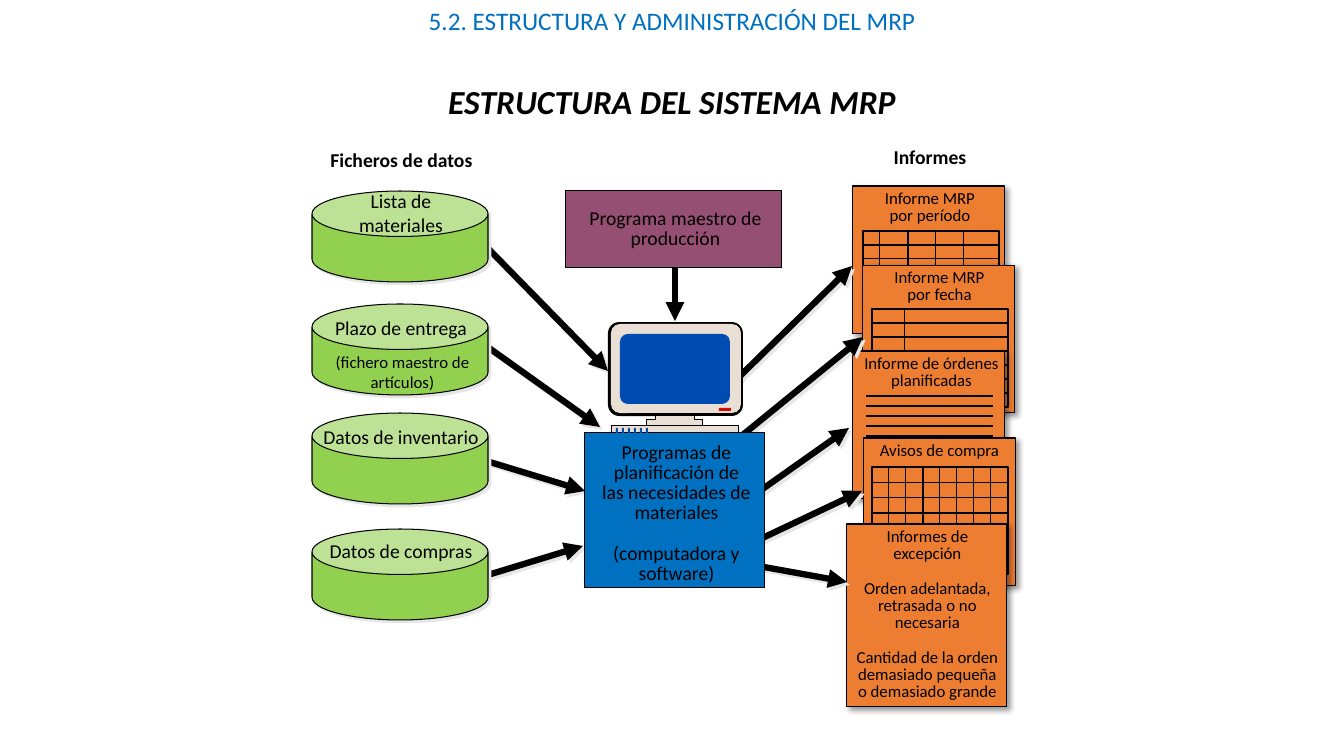
from pptx import Presentation
from pptx.dml.color import RGBColor
from pptx.enum.shapes import MSO_CONNECTOR, MSO_SHAPE
from pptx.enum.text import MSO_ANCHOR, MSO_AUTO_SIZE, PP_ALIGN
from pptx.oxml import parse_xml
from pptx.oxml.ns import nsdecls
from pptx.util import Pt

PX = 914400 / 100.8
FONT = "Calibri"
COLORS = {
    "black": "000000", "heading": "0070C0", "report": "ED7D31", "file": "92D050",
    "master": "954F72", "programs": "0070C0", "casing": "EADFD4", "screen": "004CB3",
    "light": "D90C0C", "pale": "E7E6E6",
}

HEADING = "5.2. ESTRUCTURA Y ADMINISTRACIÓN DEL MRP"
TITLE = "ESTRUCTURA DEL SISTEMA MRP"
COLUMN_LABELS = [("Informes", (883, 140, 94, 34)), ("Ficheros de datos", (320, 143, 163, 34))]

# Sheet box, caption box, caption paragraphs
REPORTS = [
    ((853, 186, 152, 148), (865, 186, 130, 44), ["Informe MRP por período"]),
    ((863, 265, 152, 148), (883, 265, 113, 44), ["Informe MRP por fecha"]),
    ((853, 351, 152, 148), (852, 351, 159, 44), ["Informe de órdenes planificadas"]),
    ((864, 438, 152, 148), (864, 438, 151, 27), ["Avisos de compra"]),
    ((847, 524, 160, 183), (844, 524, 167, 183), [
        "Informes de excepción",
        "Orden adelantada, retrasada o no necesaria",
        "Cantidad de la orden demasiado pequeña o demasiado grande"]),
]
# Report index: frame box, offsets of the column rules
REPORT_GRIDS = {
    0: ((863, 231, 136, 97), (17, 45, 73, 101)),
    1: ((872, 309, 136, 98), (33,)),
    3: ((872, 467, 136, 107), range(17, 136, 17)),
}
GRID_ROWS = 7
PLANNED_ORDERS = 2
ORDER_RULES = [(866, y, 993, y) for y in range(396, 437, 10)]

# Can top, label, label top, label width
DATA_FILES = [
    (529, "Datos de compras", 534, 176),
    (413, "Datos de inventario", 420, 186),
    (304, "Plazo de entrega", 311, 176),
    (191, "Lista de materiales", 184, 130),
]
FILE_NOTE = "(fichero maestro de artículos)"
CAN_LEFT, CAN_WIDTH, CAN_HEIGHT = 312, 176, 91

FLOWS = [
    (736, 380, 852, 266), (747, 564, 847, 582), (739, 438, 863, 337),
    (747, 500, 849, 428), (754, 542, 862, 491),
    (478, 578, 583, 546), (469, 229, 608, 371), (470, 456, 585, 491), (475, 338, 600, 427),
]
MASTER_FLOW = (675, 262, 675, 321)
MASTER = ["Programa maestro de producción"]
PROGRAMS = ["Programas de planificación de las necesidades de materiales",
            "(computadora y software)"]

# Box, corner ratio, colour
MONITOR = [
    ((608, 322, 135, 94), 0.12, "black"),
    ((611, 324, 130, 89), 0.1, "casing"),
    ((620, 334, 110, 70), 0.11, "screen"),
]
PEDESTAL = [(703, 426), (703, 420), (695, 420), (695, 416),
            (656, 416), (656, 420), (647, 420), (647, 426)]
KEYBOARD = (612, 426, 127, 7)
POWER_LIGHT = (719, 408, 12, 3)
KEYS = [(616 + 6 * i, 428, 2, 5) for i in range(6)]

SHEET_SHADOW = ("black", 40, 4, 3)
PALE_SHADOW = ("pale", 100, 0, 2.8)


def emu(lengths):
    return [round(length * PX) for length in lengths]


def rgb(name):
    return RGBColor.from_string(COLORS[name])


def outer_shadow(color, opacity, blur, distance):
    return parse_xml(
        f'<a:outerShdw {nsdecls("a")} blurRad="{Pt(blur)}" dist="{Pt(distance)}" '
        f'dir="2700000" algn="tl" rotWithShape="0"><a:srgbClr val="{COLORS[color]}">'
        f'<a:alpha val="{opacity * 1000}"/></a:srgbClr></a:outerShdw>')


def paint(shape, fill, line=0.75, shadow=None):
    shape.shadow.inherit = False
    if shadow:
        shape._element.spPr.find(".//{*}effectLst").append(outer_shadow(*shadow))
    if fill:
        shape.fill.solid()
        shape.fill.fore_color.rgb = rgb(fill)
    else:
        shape.fill.background()
    if line:
        shape.line.color.rgb = rgb("black")
        shape.line.width = Pt(line)
    else:
        shape.line.fill.background()


def draw(box, fill, line=0.75, shadow=None, kind=MSO_SHAPE.RECTANGLE, corner=None):
    shape = shapes.add_shape(kind, *emu(box))
    if corner is not None:
        shape.adjustments[0] = corner
    paint(shape, fill, line, shadow)


def rule(ends, width, arrow=False, shadow=None):
    connector = shapes.add_connector(MSO_CONNECTOR.STRAIGHT, *emu(ends))
    connector.line.color.rgb = rgb("black")
    connector.line.width = Pt(width)
    if arrow:
        connector.line._get_or_add_ln().append(
            parse_xml(f'<a:tailEnd {nsdecls("a")} type="triangle"/>'))
    effects = parse_xml(f'<a:effectLst {nsdecls("a")}/>')
    if shadow:
        effects.append(outer_shadow(*shadow))
    connector._element.spPr.append(effects)


def fill_text(frame, paragraphs, size, color="black", bold=False, italic=False, spacing=1):
    frame.word_wrap = True
    for index, words in enumerate(paragraphs):
        paragraph = frame.add_paragraph() if index else frame.paragraphs[0]
        paragraph.alignment = PP_ALIGN.CENTER
        paragraph.line_spacing = spacing
        if index:
            paragraph.space_before = Pt(round(size * 1.22 * spacing, 1))
        run = paragraph.add_run()
        run.text = words
        run.font.name, run.font.size = FONT, Pt(size)
        run.font.bold, run.font.italic = bold, italic
        run.font.color.rgb = rgb(color)


def write(box, paragraphs, size, **style):
    fill_text(shapes.add_textbox(*emu(box)).text_frame, paragraphs, size, **style)


def draw_grid(frame, columns):
    left, top, width, height = frame
    draw(frame, None, 1)
    for row in range(1, GRID_ROWS):
        y = top + height * row / GRID_ROWS
        rule((left, y, left + width, y), 1)
    for offset in columns:
        rule((left + offset, top, left + offset, top + height), 0.75)


prs = Presentation()
prs.slide_width, prs.slide_height = emu((1344, 756))
slide = prs.slides.add_slide(prs.slide_layouts[5])
shapes = slide.shapes

title = shapes.title
title.left, title.top, title.width, title.height = emu((263, 76, 818, 50))
title.text_frame.auto_size = MSO_AUTO_SIZE.NONE
title.text_frame.vertical_anchor = MSO_ANCHOR.MIDDLE
fill_text(title.text_frame, [TITLE], 24, bold=True, italic=True)
write((0, 0, 1344, 40), [HEADING], 18, color="heading")
for label, (left, top, width, height) in COLUMN_LABELS:
    write((left - 10, top, width + 20, height), [label], 14, bold=True)

for index, (sheet, caption, paragraphs) in enumerate(REPORTS):
    draw(sheet, "report", shadow=SHEET_SHADOW)
    write(caption, paragraphs, 12, spacing=0.85)
    if index in REPORT_GRIDS:
        draw_grid(*REPORT_GRIDS[index])
    if index == PLANNED_ORDERS:
        for order in ORDER_RULES:
            rule(order, 1)

for flow in FLOWS:
    rule(flow, 4.5, arrow=True, shadow=PALE_SHADOW)

for can_top, label, label_top, label_width in DATA_FILES:
    draw((CAN_LEFT, can_top, CAN_WIDTH, CAN_HEIGHT), "file", shadow=PALE_SHADOW,
         kind=MSO_SHAPE.CAN, corner=0.5)
    write((CAN_LEFT + (CAN_WIDTH - label_width) / 2 + 1, label_top, label_width, 34), [label], 14)
write((320, 347, 165, 51), [FILE_NOTE], 12)

rule(MASTER_FLOW, 4.5, arrow=True)
draw((566, 191, 216, 77), "master")
write((569, 205, 213, 50), MASTER, 14, spacing=0.85)
draw((585, 433, 180, 155), "programs")
write((592, 439, 169, 151), PROGRAMS, 14, spacing=0.85)

for box, corner, color in MONITOR:
    draw(box, color, 0, kind=MSO_SHAPE.ROUNDED_RECTANGLE, corner=corner)
outline = shapes.build_freeform(*PEDESTAL[0], scale=PX)
outline.add_line_segments(PEDESTAL[1:])
paint(outline.convert_to_shape(), "casing")
draw(KEYBOARD, "casing")
draw(POWER_LIGHT, "light", 0)
for key in KEYS:
    draw(key, "screen", 0)

prs.save("out.pptx")
